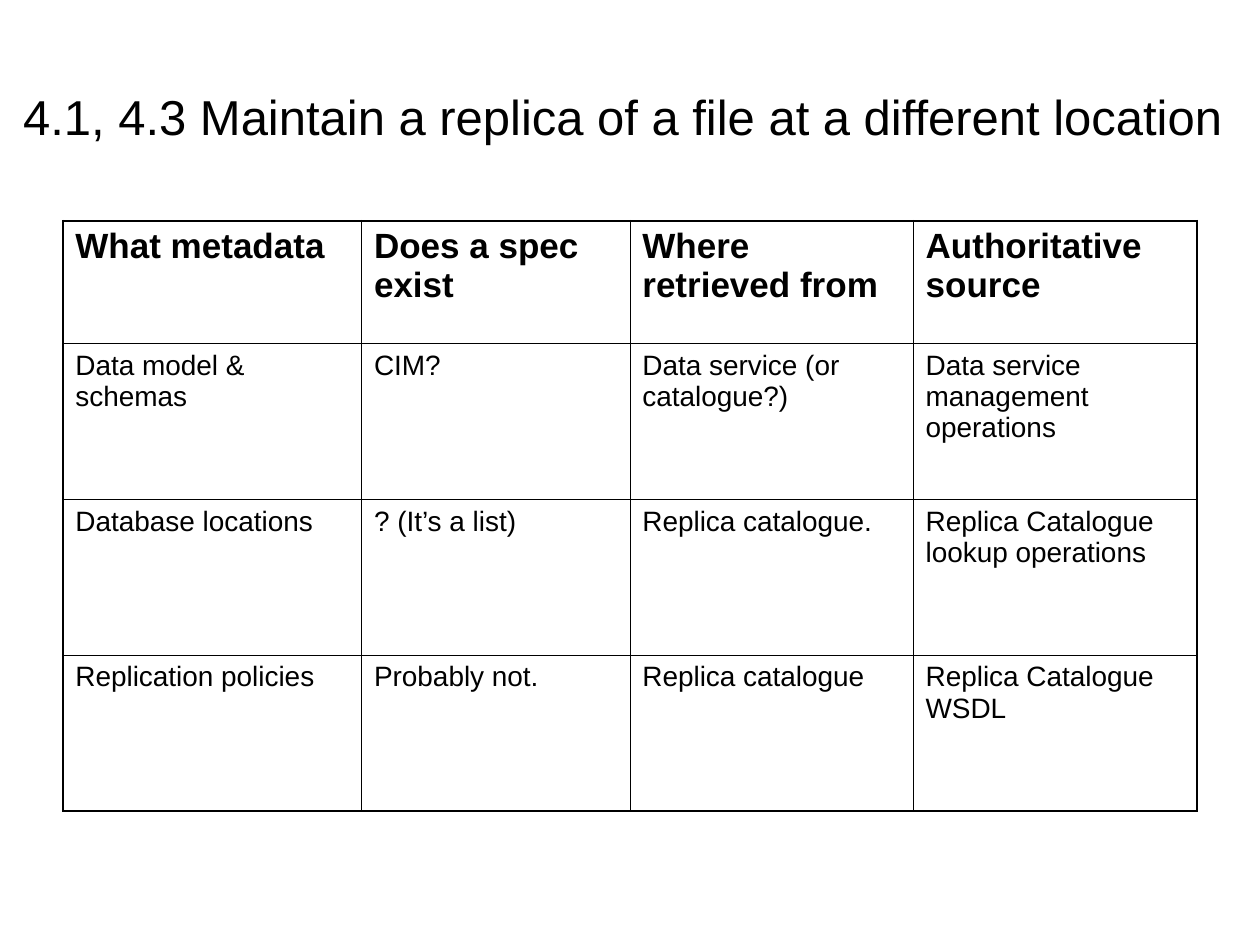
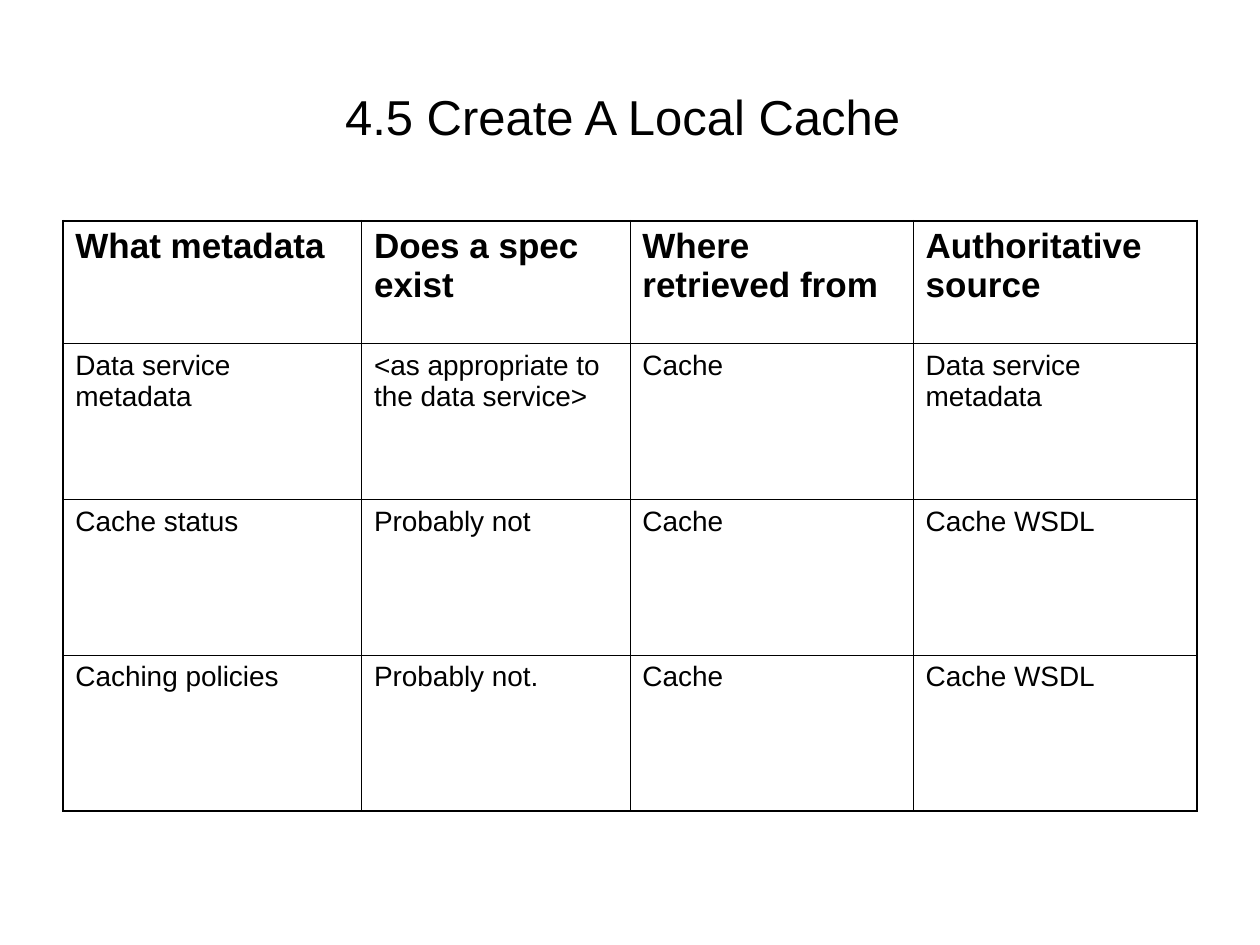
from lxml.etree import SubElement
from pptx import Presentation
from pptx.dml.color import RGBColor
from pptx.enum.text import MSO_ANCHOR as Anchor, MSO_AUTO_SIZE as AutoSize, PP_ALIGN as Align
from pptx.oxml.ns import qn
from pptx.util import Cm, Pt

# Content
HEADINGS = ["What metadata", "Does a spec exist", "Where retrieved from", "Authoritative source"]
SLIDES = [
    ("4.1, 4.3 Maintain a replica of a file at a different location", [
        ["Data model & schemas", "CIM?", "Data service (or catalogue?)",
         "Data service management operations"],
        ["Database locations", "? (It’s a list)", "Replica catalogue.",
         "Replica Catalogue lookup operations"],
        ["Replication policies", "Probably not.", "Replica catalogue", "Replica Catalogue WSDL"],
    ]),
    ("4.5 Create A Local Cache", [
        ["Data service metadata", "<as appropriate to the data service>", "Cache",
         "Data service metadata"],
        ["Cache status", "Probably not", "Cache", "Cache WSDL"],
        ["Caching policies", "Probably not.", "Cache", "Cache WSDL"],
    ]),
]

# Shared style
COLORS = {"text": "000000", "border": "000000"}
FONT = "Arial"
TITLE_SIZE, HEADING_SIZE, BODY_SIZE = 28, 20, 16
TITLE_BOX = (Cm(0), Cm(0.74), Cm(25.1), Cm(3.18))
TABLE_LEFT, TABLE_TOP = Cm(1.27), Cm(4.45)
COLUMN_WIDTHS = [Cm(6.02), Cm(5.41), Cm(5.71), Cm(5.72)]
HEADING_HEIGHT, BODY_HEIGHT = Cm(2.48), Cm(3.14)
OUTER_LINE, INNER_LINE = Pt(1.08), Pt(0.45)
INSET_X, INSET_Y = Cm(0.25), Cm(0.13)


def add_text(frame, text, size, bold=False, align=Align.LEFT):
    frame.word_wrap = True
    paragraph = frame.paragraphs[0]
    paragraph.alignment = align
    run = paragraph.add_run()
    run.text = text
    run.font.name = FONT
    run.font.size = Pt(size)
    run.font.bold = bold
    run.font.color.rgb = RGBColor.from_string(COLORS["text"])


def add_title(slide, text):
    title = slide.shapes.title
    title.left, title.top, title.width, title.height = TITLE_BOX
    frame = title.text_frame
    frame.auto_size = AutoSize.NONE
    frame.vertical_anchor = Anchor.MIDDLE
    add_text(frame, text, TITLE_SIZE, align=Align.CENTER)


def set_borders(cell, outer_edges):
    """Draw the four edges, thicker where they bound the table."""
    properties = cell._tc.get_or_add_tcPr()
    for edge in ("L", "R", "T", "B"):
        width = OUTER_LINE if outer_edges[edge] else INNER_LINE
        line = SubElement(properties, qn(f"a:ln{edge}"), w=str(width))
        fill = SubElement(line, qn("a:solidFill"))
        SubElement(fill, qn("a:srgbClr"), val=COLORS["border"])


def add_metadata_table(slide, body):
    rows = [HEADINGS] + body
    heights = [HEADING_HEIGHT] + [BODY_HEIGHT] * len(body)
    table = slide.shapes.add_table(len(rows), len(HEADINGS), TABLE_LEFT, TABLE_TOP,
                                   sum(COLUMN_WIDTHS), sum(heights)).table
    table.first_row = table.horz_banding = False
    for column, width in zip(table.columns, COLUMN_WIDTHS):
        column.width = width
    for row, height in zip(table.rows, heights):
        row.height = height

    last_row, last_column = len(rows) - 1, len(HEADINGS) - 1
    for r, texts in enumerate(rows):
        for c, text in enumerate(texts):
            cell = table.cell(r, c)
            set_borders(cell, {"L": c == 0, "R": c == last_column,
                               "T": r == 0, "B": r == last_row})
            cell.fill.background()
            cell.margin_left = cell.margin_right = INSET_X
            cell.margin_top = cell.margin_bottom = INSET_Y
            cell.vertical_anchor = Anchor.TOP
            is_heading = r == 0
            add_text(cell.text_frame, text, HEADING_SIZE if is_heading else BODY_SIZE, is_heading)


def main():
    presentation = Presentation()
    presentation.slide_width, presentation.slide_height = Cm(25.4), Cm(19.05)
    title_only = presentation.slide_layouts[5]
    for title, body in SLIDES:
        slide = presentation.slides.add_slide(title_only)
        add_title(slide, title)
        add_metadata_table(slide, body)
    presentation.save("out.pptx")


if __name__ == "__main__":
    main()
